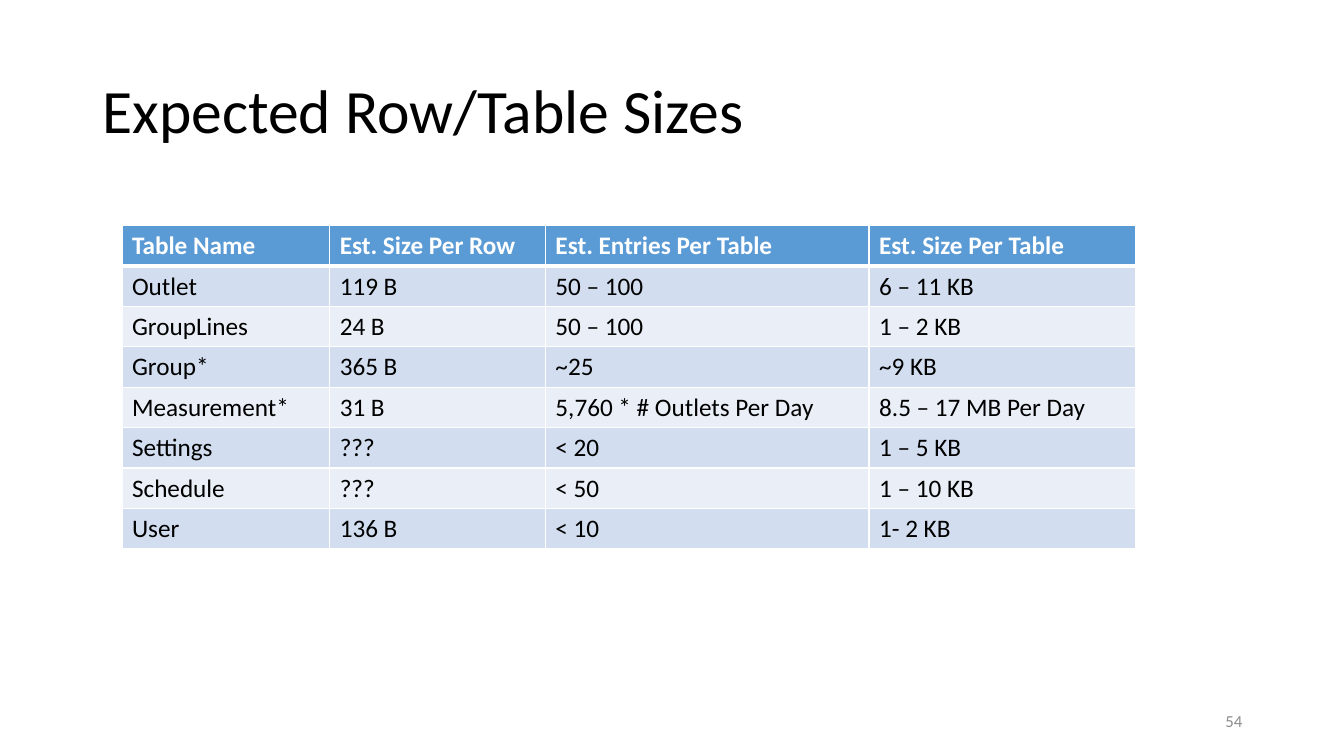
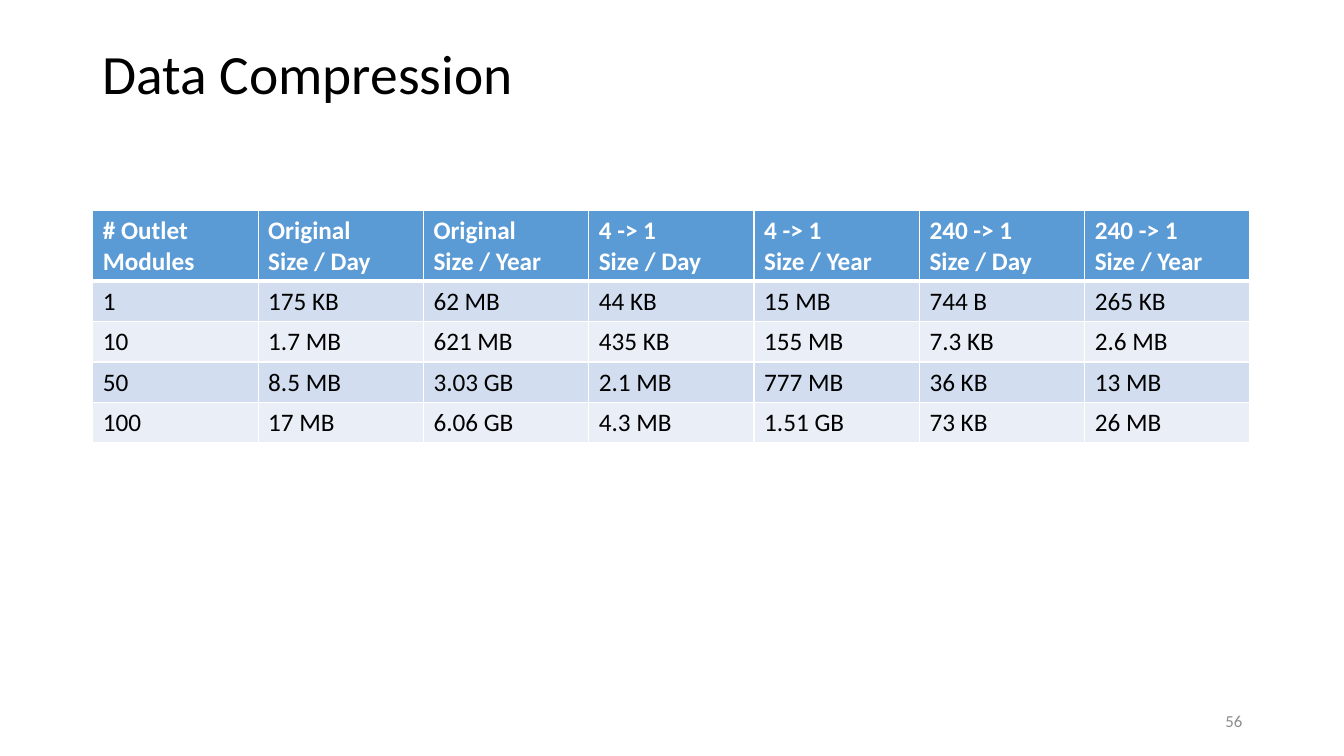
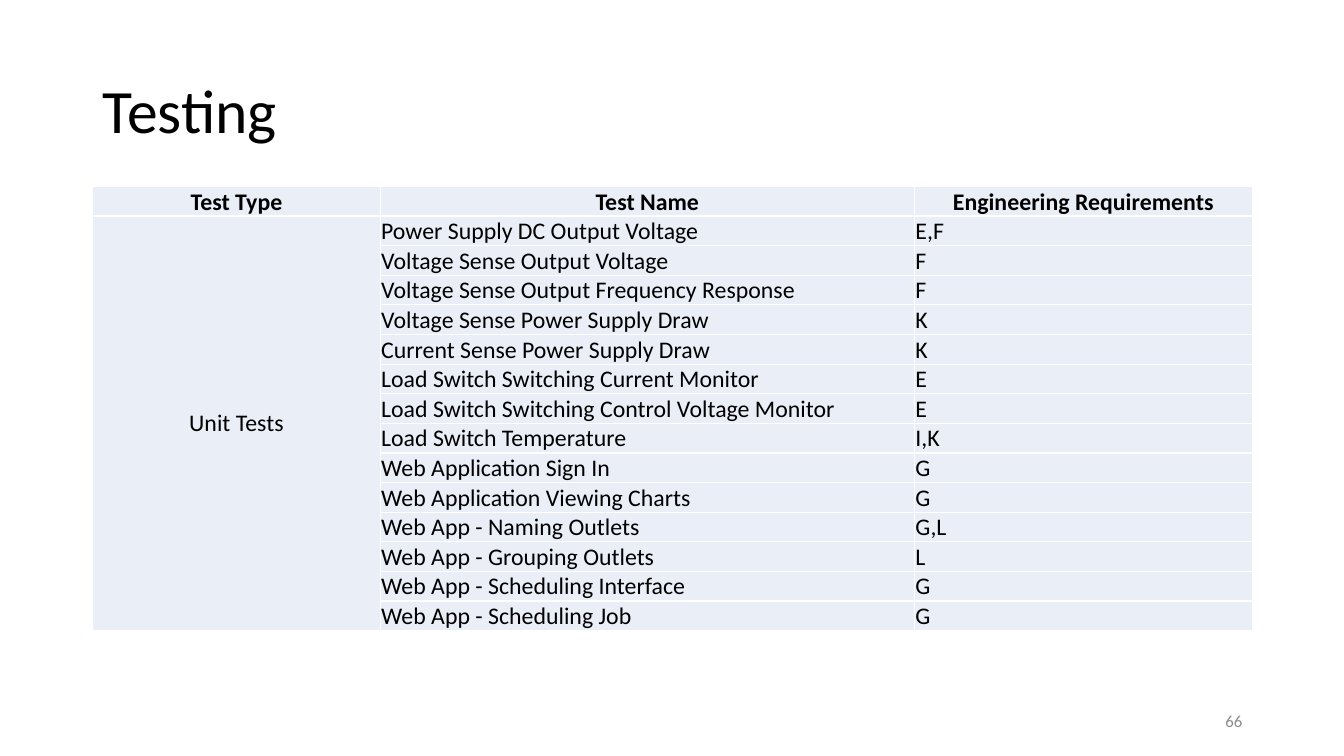
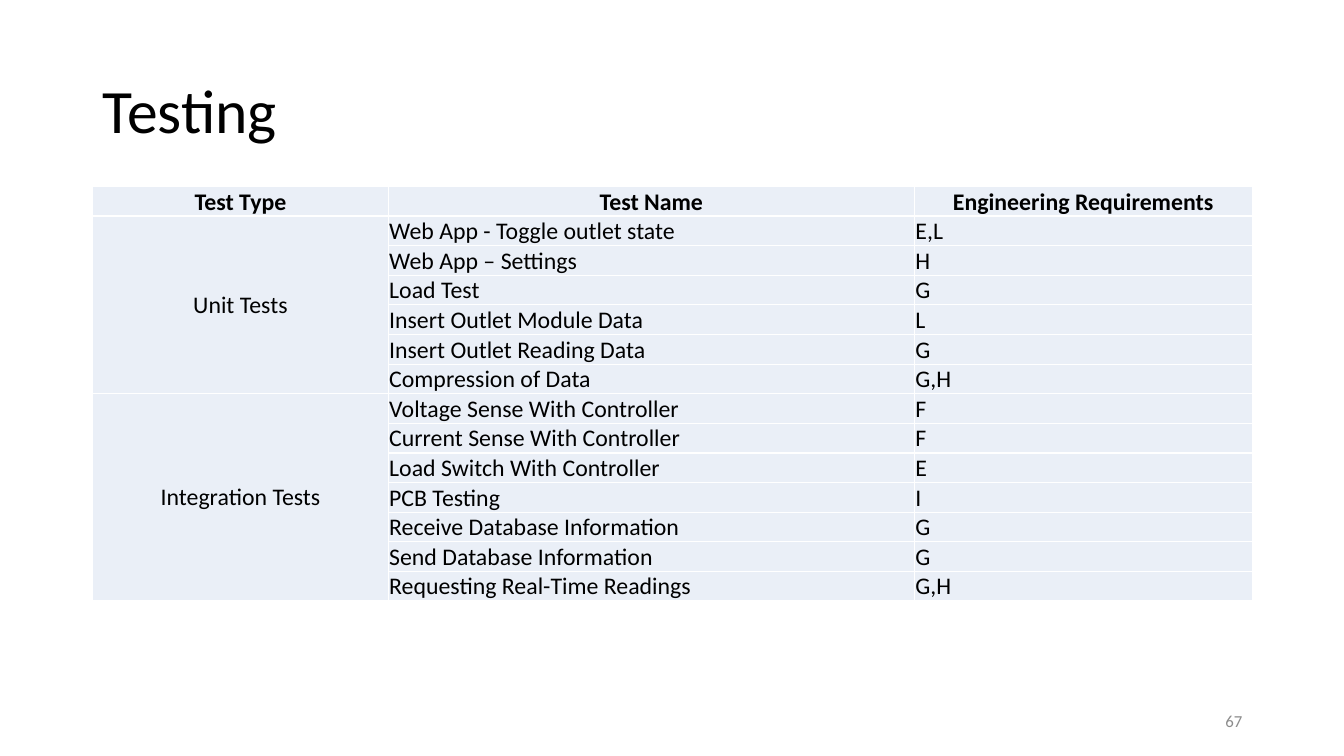
import dataclasses

import pptx
import pptx.dml.color
import pptx.enum.text
import pptx.oxml
import pptx.oxml.ns
import pptx.util

PX = 9144  # 100 px to the inch
ALIGN = pptx.enum.text.PP_ALIGN
ANCHOR = pptx.enum.text.MSO_ANCHOR


@dataclasses.dataclass(frozen=True)
class Theme:
    font: str = "Calibri"
    text: str = "000000"
    white: str = "FFFFFF"
    page_number: str = "8C8C8C"
    header: str = "5B9BD5"
    band_dark: str = "D2DEEF"
    band_light: str = "EAEFF7"
    title_size: float = 44
    small_title_size: float = 39.6
    table_size: float = 18
    test_size: float = 17
    page_size: float = 12
    border: float = 1
    header_border: float = 3


THEME = Theme()

SLIDE_SIZE = (1333, 750)
TITLE_BOX = (92, 40, 1150, 145)
SMALL_TITLE_BOX = (92, 40, 1150, 72)
PAGE_BOX = (942, 695, 300, 40)

SIZE_ROWS = [
    ("Table Name", "Est. Size Per Row", "Est. Entries Per Table", "Est. Size Per Table"),
    ("Outlet", "119 B", "50 – 100", "6 – 11 KB"),
    ("GroupLines", "24 B", "50 – 100", "1 – 2 KB"),
    ("Group*", "365 B", "~25", "~9 KB"),
    ("Measurement*", "31 B", "5,760 * # Outlets Per Day", "8.5 – 17 MB Per Day"),
    ("Settings", "???", "< 20", "1 – 5 KB"),
    ("Schedule", "???", "< 50", "1 – 10 KB"),
    ("User", "136 B", "< 10", "1- 2 KB"),
]

COMPRESSION_ROWS = [
    ("# Outlet Modules", "Original\vSize / Day", "Original\vSize / Year", "4 -> 1\vSize / Day",
     "4 -> 1\vSize / Year", "240 -> 1\vSize / Day", "240 -> 1\vSize / Year"),
    ("1", "175 KB", "62 MB", "44 KB", "15 MB", "744 B", "265 KB"),
    ("10", "1.7 MB", "621 MB", "435 KB", "155 MB", "7.3 KB", "2.6 MB"),
    ("50", "8.5 MB", "3.03 GB", "2.1 MB", "777 MB", "36 KB", "13 MB"),
    ("100", "17 MB", "6.06 GB", "4.3 MB", "1.51 GB", "73 KB", "26 MB"),
]

TEST_HEADER = ("Test Type", "Test Name", "Engineering Requirements")

FIRST_TESTS = {
    "Unit Tests": [
        ("Power Supply DC Output Voltage", "E,F"),
        ("Voltage Sense Output Voltage", "F"),
        ("Voltage Sense Output Frequency Response", "F"),
        ("Voltage Sense Power Supply Draw", "K"),
        ("Current Sense Power Supply Draw", "K"),
        ("Load Switch Switching Current Monitor", "E"),
        ("Load Switch Switching Control Voltage Monitor", "E"),
        ("Load Switch Temperature", "I,K"),
        ("Web Application Sign In", "G"),
        ("Web Application Viewing Charts", "G"),
        ("Web App - Naming Outlets", "G,L"),
        ("Web App - Grouping Outlets", "L"),
        ("Web App - Scheduling Interface", "G"),
        ("Web App - Scheduling Job", "G"),
    ],
}

MORE_TESTS = {
    "Unit Tests": [
        ("Web App - Toggle outlet state", "E,L"),
        ("Web App – Settings", "H"),
        ("Load Test", "G"),
        ("Insert Outlet Module Data", "L"),
        ("Insert Outlet Reading Data", "G"),
        ("Compression of Data", "G,H"),
    ],
    "Integration Tests": [
        ("Voltage Sense With Controller", "F"),
        ("Current Sense With Controller", "F"),
        ("Load Switch With Controller", "E"),
        ("PCB Testing", "I"),
        ("Receive Database Information", "G"),
        ("Send Database Information", "G"),
        ("Requesting Real-Time Readings", "G,H"),
    ],
}


def color(value):
    return pptx.dml.color.RGBColor.from_string(value)


def write(text_frame, text, size, text_color=THEME.text, bold=False, align=ALIGN.LEFT):
    text_frame.text = text
    paragraph = text_frame.paragraphs[0]
    paragraph.alignment = align
    for run in paragraph.runs:
        run.font.name = THEME.font
        run.font.size = pptx.util.Pt(size)
        run.font.bold = bold
        run.font.color.rgb = color(text_color)
    return paragraph


def add_text(slide, box, text, size, **style):
    text_frame = slide.shapes.add_textbox(*(length * PX for length in box)).text_frame
    text_frame.word_wrap = True
    text_frame.vertical_anchor = ANCHOR.MIDDLE
    return write(text_frame, text, size, **style)


def add_slide(presentation, title, page, title_box=TITLE_BOX, title_size=THEME.title_size):
    slide = presentation.slides.add_slide(presentation.slide_layouts[6])
    add_text(slide, title_box, title, title_size).line_spacing = 0.9
    add_text(slide, PAGE_BOX, str(page), THEME.page_size,
             text_color=THEME.page_number, align=ALIGN.RIGHT)
    return slide


def style_cell(cell, fill, top=THEME.border, bottom=THEME.border):
    """Draw the white borders, then the fill, in the order the schema asks for."""
    properties = cell._tc.get_or_add_tcPr()
    widths = {"L": THEME.border, "R": THEME.border, "T": top, "B": bottom}
    for side, width in widths.items():
        properties.append(pptx.oxml.parse_xml(
            f'<a:ln{side} {pptx.oxml.ns.nsdecls("a")} w="{pptx.util.Pt(width)}">'
            f'<a:solidFill><a:srgbClr val="{THEME.white}"/></a:solidFill></a:ln{side}>'))
    cell.fill.solid()
    cell.fill.fore_color.rgb = color(fill)


def add_table(slide, left, top, column_widths, row_heights):
    table = slide.shapes.add_table(
        len(row_heights), len(column_widths), left * PX, top * PX,
        sum(column_widths) * PX, sum(row_heights) * PX).table
    table.first_row = table.horz_banding = False
    for column, width in zip(table.columns, column_widths):
        column.width = width * PX
    for row, height in zip(table.rows, row_heights):
        row.height = height * PX
    return table


def add_banded_table(slide, left, top, column_widths, rows, header_height=40):
    heights = [header_height] + [40] * (len(rows) - 1)
    table = add_table(slide, left, top, column_widths, heights)
    for row_index, row in enumerate(rows):
        is_header = row_index == 0
        band = THEME.band_dark if row_index % 2 else THEME.band_light
        for column_index, text in enumerate(row):
            cell = table.cell(row_index, column_index)
            style_cell(cell, THEME.header if is_header else band,
                       top=THEME.header_border if row_index == 1 else THEME.border,
                       bottom=THEME.header_border if is_header else THEME.border)
            write(cell.text_frame, text, THEME.table_size, bold=is_header,
                  text_color=THEME.white if is_header else THEME.text)


def add_test_table(slide, column_widths, groups):
    """Tabulate tests, with one merged first cell for each test type."""
    rows = [TEST_HEADER]
    spans = []
    for test_type, tests in groups.items():
        spans.append((len(rows), len(rows) + len(tests) - 1))
        rows += [(test_type if index == 0 else "", *test) for index, test in enumerate(tests)]

    table = add_table(slide, 92, 185, column_widths, [29] * len(rows))
    for row_index, row in enumerate(rows):
        is_header = row_index == 0
        for column_index, text in enumerate(row):
            is_type = column_index == 0
            cell = table.cell(row_index, column_index)
            style_cell(cell, THEME.band_light)
            cell.margin_left = cell.margin_top = cell.margin_right = PX
            cell.margin_bottom = 0
            cell.vertical_anchor = ANCHOR.MIDDLE if is_type else ANCHOR.BOTTOM
            if text:
                write(cell.text_frame, text, THEME.test_size, bold=is_header,
                      align=ALIGN.CENTER if is_header or is_type else ALIGN.LEFT)
    for first, last in spans:
        table.cell(first, 0).merge(table.cell(last, 0))


def main():
    presentation = pptx.Presentation()
    presentation.slide_width, presentation.slide_height = (length * PX for length in SLIDE_SIZE)

    slide = add_slide(presentation, "Expected Row/Table Sizes", 54)
    add_banded_table(slide, 121, 224, [206, 214, 321, 264], SIZE_ROWS)

    slide = add_slide(presentation, "Data Compression", 56,
                      SMALL_TITLE_BOX, THEME.small_title_size)
    add_banded_table(slide, 92, 209, [164] * 7, COMPRESSION_ROWS, header_height=70)

    add_test_table(add_slide(presentation, "Testing", 66), [285, 530, 335], FIRST_TESTS)
    add_test_table(add_slide(presentation, "Testing", 67), [293, 522, 335], MORE_TESTS)

    presentation.save("out.pptx")


if __name__ == "__main__":
    main()
